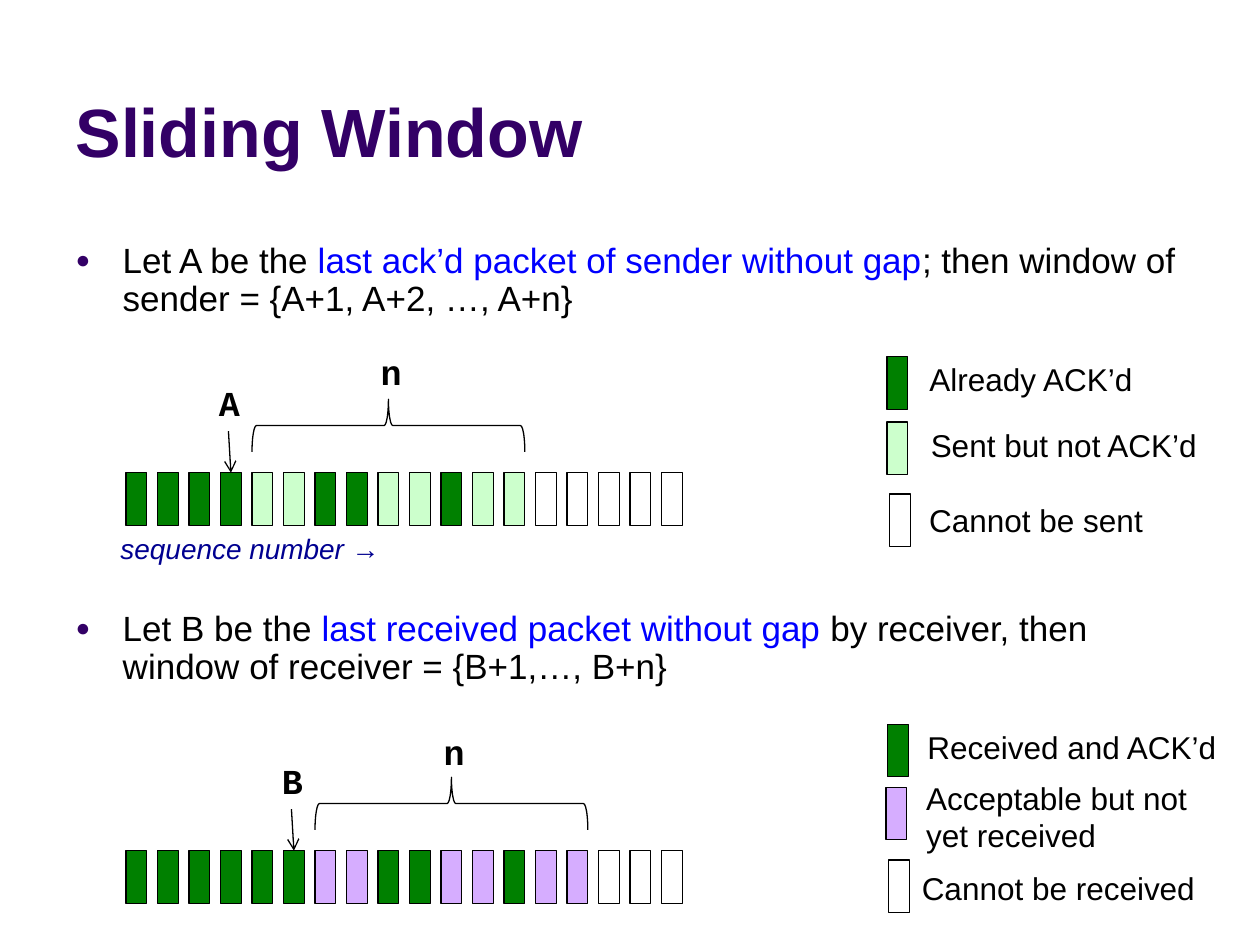
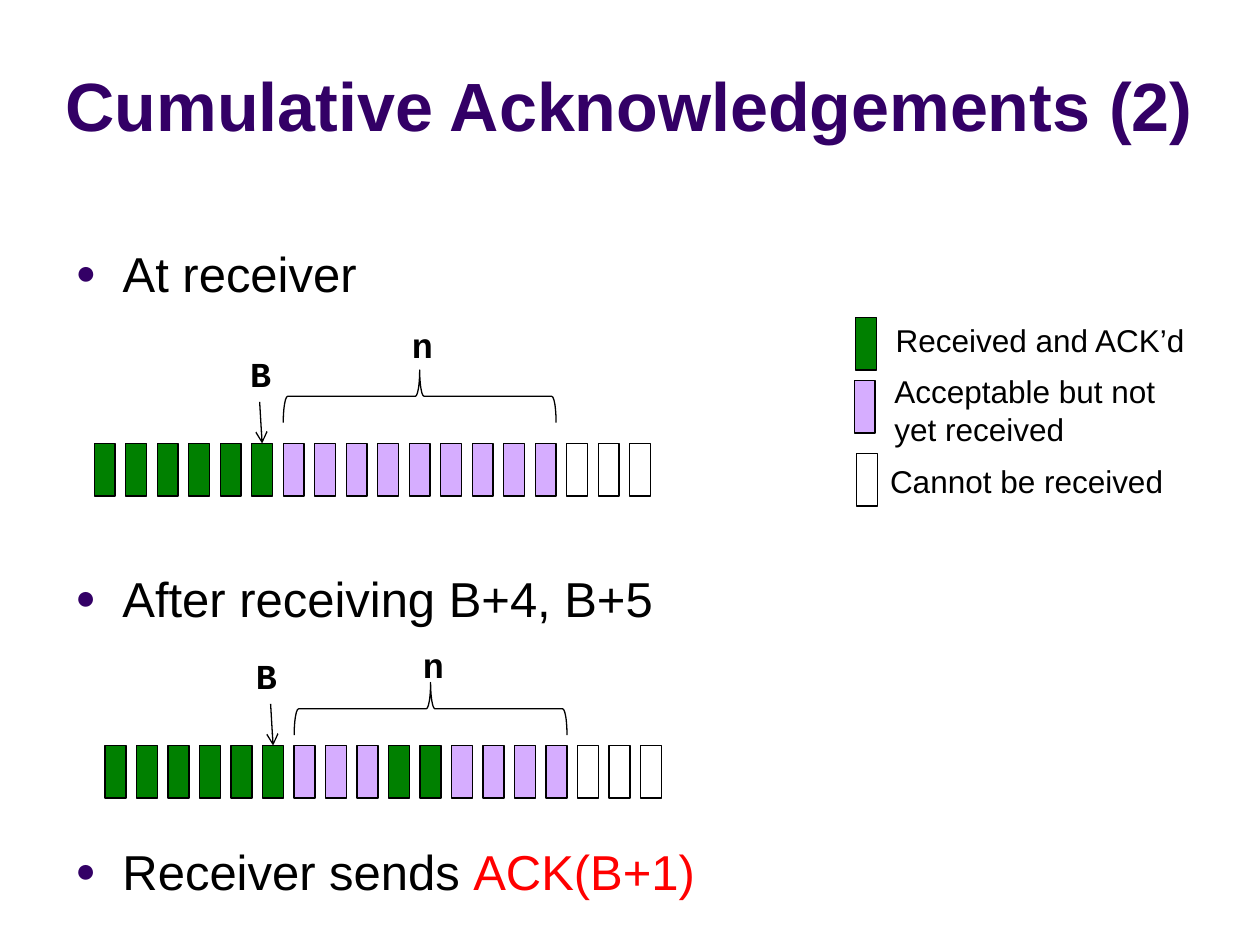
from lxml.etree import SubElement
from pptx import Presentation
from pptx.dml.color import RGBColor
from pptx.enum.shapes import MSO_CONNECTOR, MSO_SHAPE
from pptx.enum.text import MSO_ANCHOR, MSO_AUTO_SIZE, PP_ALIGN
from pptx.oxml.ns import qn
from pptx.util import Cm, Pt

COLOURS = {
    "title": "330066",
    "ink": "000000",
    "key": "0000FF",
    "alert": "FF0000",
    "axis": "000090",
    "acked": "008000",
    "sent": "CCFFCC",
    "acceptable": "D6ADFF",
    "closed": "FFFFFF",
}
PACKETS = {"#": "acked", "s": "sent", "a": "acceptable", ".": "closed"}
PITCH = 2.54 / 4
PACKET_WIDTH, PACKET_HEIGHT = 0.42, 1.06
WINDOW_SIZE = 9

SENDER_LEGEND = [
    ("acked", 0, 0.05, "Already ACK’d", 0.53, 0, 4.67),
    ("sent", 0, 1.37, "Sent but not ACK’d", 0.56, 1.32, 5.94),
    ("closed", 0.05, 2.82, "Cannot be sent", 0.56, 2.84, 4.85),
]
RECEIVER_LEGEND = [
    ("acked", 0.03, 0.05, "Received and ACK’d", 0.51, 0, 6.4),
    ("acceptable", 0, 1.32, "Acceptable but not\nyet received", 0.56, 1.02, 5.87),
    ("closed", 0.05, 2.79, "Cannot be received", 0.41, 2.84, 6.07),
]


def rgb(name):
    """Return the named colour."""
    return RGBColor.from_string(COLOURS[name])


def write(paragraph, text, size=18, font="Arial", colour="ink", bold=False, italic=False):
    """Append formatted text to a paragraph, breaking at newlines."""
    for index, line in enumerate(text.split("\n")):
        if index:
            paragraph.add_line_break()
        run = paragraph.add_run()
        run.text = line
        run.font.size = Pt(size)
        run.font.name = font
        run.font.bold = bold
        run.font.italic = italic
        run.font.color.rgb = rgb(colour)


class Deck:
    """Holds the shared style and the current slide."""

    def __init__(self):
        """Start an empty 4:3 presentation."""
        self.presentation = Presentation()
        self.presentation.slide_width = Cm(25.4)
        self.presentation.slide_height = Cm(19.05)
        self.slide = None

    def add_slide(self, title, left, top, width):
        """Begin a slide with its title."""
        self.slide = self.presentation.slides.add_slide(self.presentation.slide_layouts[1])
        heading = self.slide.shapes.title
        self.place(heading, left, top, width, 3.25)
        heading.text_frame.vertical_anchor = MSO_ANCHOR.BOTTOM
        heading.text_frame.auto_size = MSO_AUTO_SIZE.NONE
        paragraph = heading.text_frame.paragraphs[0]
        paragraph.alignment = PP_ALIGN.LEFT
        write(paragraph, title, size=39, colour="title", bold=True)

    def place(self, shape, left, top, width, height):
        """Move and size a shape in centimetres."""
        shape.left, shape.top = Cm(left), Cm(top)
        shape.width, shape.height = Cm(width), Cm(height)

    def body(self, top, height):
        """Return the frame of the body placeholder."""
        body = self.slide.placeholders[1]
        self.place(body, 1.27, top, 22.86, height)
        body.text_frame.auto_size = MSO_AUTO_SIZE.NONE
        return body.text_frame

    def box(self, left, top, width, height, wrap=True):
        """Return the frame of a new text box."""
        box = self.slide.shapes.add_textbox(Cm(left), Cm(top), Cm(width), Cm(height))
        box.text_frame.word_wrap = wrap
        return box.text_frame

    def bullet(self, paragraph, parts, size, before, spacing=1.0):
        """Fill a bulleted paragraph with (text, colour) parts."""
        paragraph.space_before = Pt(before)
        paragraph.line_spacing = spacing
        properties = paragraph._p.get_or_add_pPr()
        properties.set("marL", str(Cm(0.95)))
        properties.set("indent", str(-Cm(0.95)))
        tint = SubElement(properties, qn("a:buClr"))
        SubElement(tint, qn("a:srgbClr"), val=COLOURS["title"])
        SubElement(properties, qn("a:buSzPct"), val="70000")
        SubElement(properties, qn("a:buFont"), typeface="Arial")
        SubElement(properties, qn("a:buChar"), char="●")
        for text, colour in parts:
            write(paragraph, text, size=size, colour=colour)

    def label(self, text, left, top, width, height=1.02, align=PP_ALIGN.RIGHT, **style):
        """Add a short unwrapped label."""
        frame = self.box(left, top, width, height, wrap=False)
        frame.auto_size = MSO_AUTO_SIZE.SHAPE_TO_FIT_TEXT
        frame.paragraphs[0].alignment = align
        write(frame.paragraphs[0], text, **style)

    def symbol(self, text, left, top):
        """Add a bold monospaced symbol."""
        self.label(text, left, top, 0.94, 1.12, size=20, font="Courier New", bold=True)

    def outline(self, kind, left, top, width, height):
        """Add a preset shape with the thin black line."""
        shape = self.slide.shapes.add_shape(kind, Cm(left), Cm(top), Cm(width), Cm(height))
        shape.shadow.inherit = False
        shape.line.color.rgb = rgb("ink")
        shape.line.width = Pt(0.75)
        return shape

    def packet(self, state, left, top):
        """Add one packet cell."""
        cell = self.outline(MSO_SHAPE.RECTANGLE, left, top, PACKET_WIDTH, PACKET_HEIGHT)
        cell.fill.solid()
        cell.fill.fore_color.rgb = rgb(state)

    def arrow(self, x, tip):
        """Add the pointer that ends on top of a packet."""
        pointer = self.slide.shapes.add_connector(
            MSO_CONNECTOR.STRAIGHT, Cm(x - 0.05), Cm(tip - 0.84), Cm(x), Cm(tip))
        pointer.line.color.rgb = rgb("ink")
        pointer.line.width = Pt(0.75)
        SubElement(pointer.line._get_or_add_ln(), qn("a:tailEnd"), type="arrow")
        SubElement(pointer._element.spPr, qn("a:effectLst"))

    def window(self, states, marker, last, left, top, brace_rise=0.95, n_rise=2.54, marker_shift=0.3):
        """Draw a packet row, the marker of its last packet and the window brace."""
        for index, state in enumerate(states):
            self.packet(PACKETS[state], left + index * PITCH, top)
        marked = left + (last - 1) * PITCH
        self.symbol(marker, marked - marker_shift, top - 1.96)
        self.arrow(marked + PACKET_WIDTH / 2, top)
        span = (WINDOW_SIZE - 1) * PITCH + PACKET_WIDTH
        middle = left + last * PITCH + span / 2
        brace = self.outline(MSO_SHAPE.LEFT_BRACE, middle - PACKET_HEIGHT / 2,
                             top - brace_rise - span / 2, PACKET_HEIGHT, span)
        brace.fill.background()
        brace.rotation = 90
        self.symbol("n", middle - 0.42, top - n_rise)

    def legend(self, entries, left, top):
        """Draw swatches with their meanings."""
        for state, x, y, meaning, text_x, text_y, width in entries:
            self.packet(state, left + x, top + y)
            two_lines = "\n" in meaning
            self.label(meaning, left + text_x, top + text_y, width,
                       height=1.8 if two_lines else 1.02,
                       align=PP_ALIGN.LEFT if two_lines else PP_ALIGN.RIGHT)


def sliding_window(deck):
    """Build the slide on sender and receiver windows."""
    deck.add_slide("Sliding Window", 1.27, 0.33, 22.86)
    definitions = deck.body(4.78, 2.64)
    deck.bullet(definitions.paragraphs[0], [
        ("Let A be the ", "ink"),
        ("last ack’d packet of sender without gap", "key"),
        ("; then window of sender = {A+1, A+2, …, A+n}", "ink"),
    ], size=20, before=4, spacing=0.9)
    deck.bullet(definitions.add_paragraph(), [
        ("Let B be the ", "ink"),
        ("last received packet without gap", "key"),
        (" by receiver, then window of receiver = {B+1,…, B+n}", "ink"),
    ], size=20, before=167, spacing=0.9)
    deck.window("####ss##ss#ss.....", "A", 4, 2.54, 9.53, n_rise=2.59)
    deck.legend(SENDER_LEGEND, 17.88, 7.14)
    deck.label("sequence number →", 2.18, 10.59, 7.34, 0.94, align=PP_ALIGN.LEFT,
               size=16, colour="axis", italic=True)
    deck.window("######aa##aa#aa...", "B", 6, 2.54, 17.15)
    deck.legend(RECEIVER_LEGEND, 17.86, 14.55)


def cumulative_acknowledgements(deck):
    """Build the slide on what the receiver acknowledges."""
    deck.add_slide("Cumulative Acknowledgements (2)", 1.07, -0.2, 23.29)
    steps = [
        (deck.body(4.78, 1.57), [("At receiver", "ink")]),
        (deck.box(1.27, 11.33, 22.86, 1.57), [("After receiving B+4, B+5", "ink")]),
        (deck.box(1.27, 16.84, 22.86, 1.57), [("Receiver sends ", "ink"), ("ACK(B+1)", "alert")]),
    ]
    for frame, parts in steps:
        deck.bullet(frame.paragraphs[0], parts, size=28, before=5.6)
    deck.window("######aaaaaaaaa...", "B", 6, 1.9, 8.94)
    deck.legend(RECEIVER_LEGEND, 17.22, 6.35)
    deck.window("######aaa##aaaa...", "B", 6, 2.12, 15.03,
                brace_rise=0.74, n_rise=2.18, marker_shift=0.4)


def main():
    """Build and save the presentation."""
    deck = Deck()
    sliding_window(deck)
    cumulative_acknowledgements(deck)
    deck.presentation.save("out.pptx")


if __name__ == "__main__":
    main()
